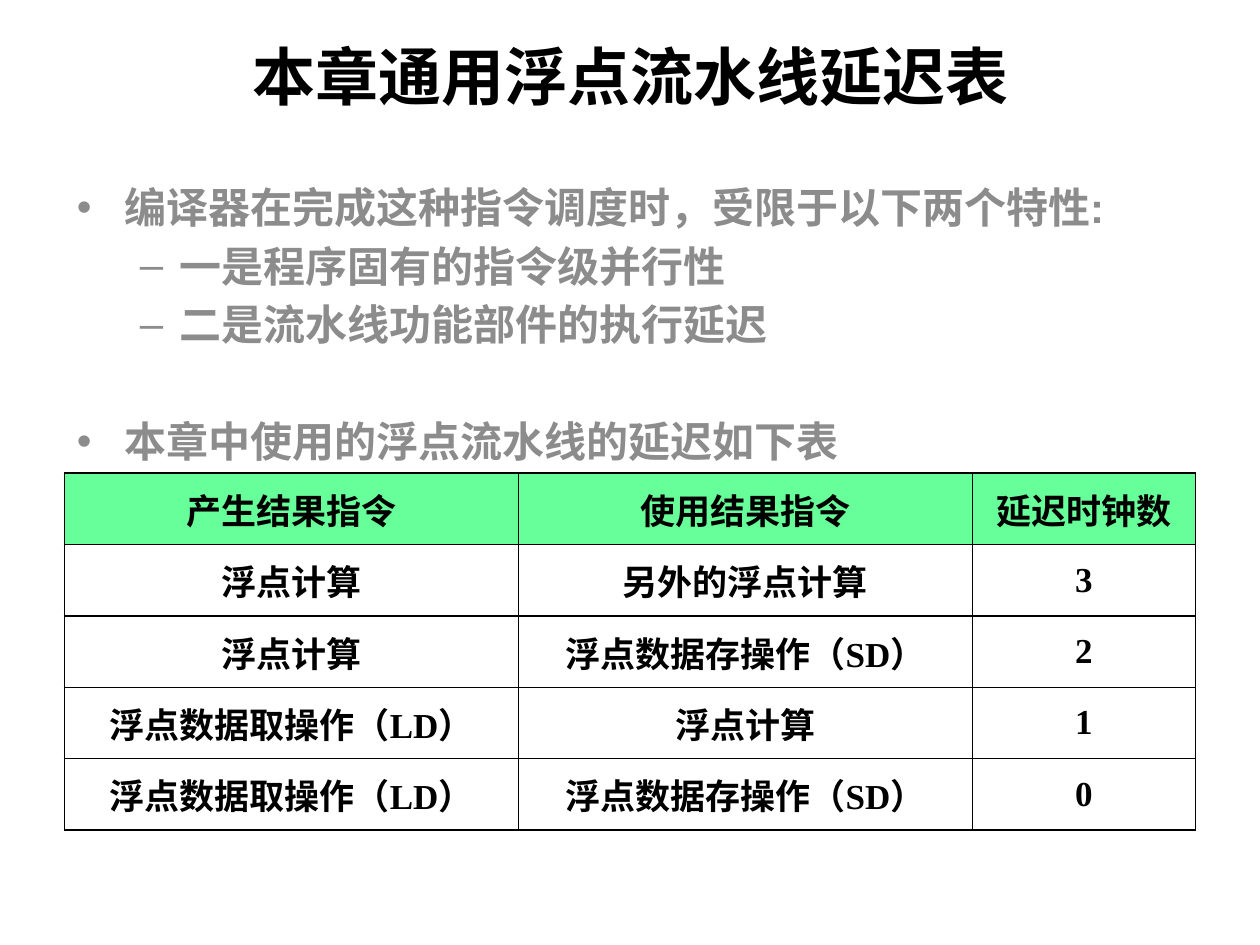
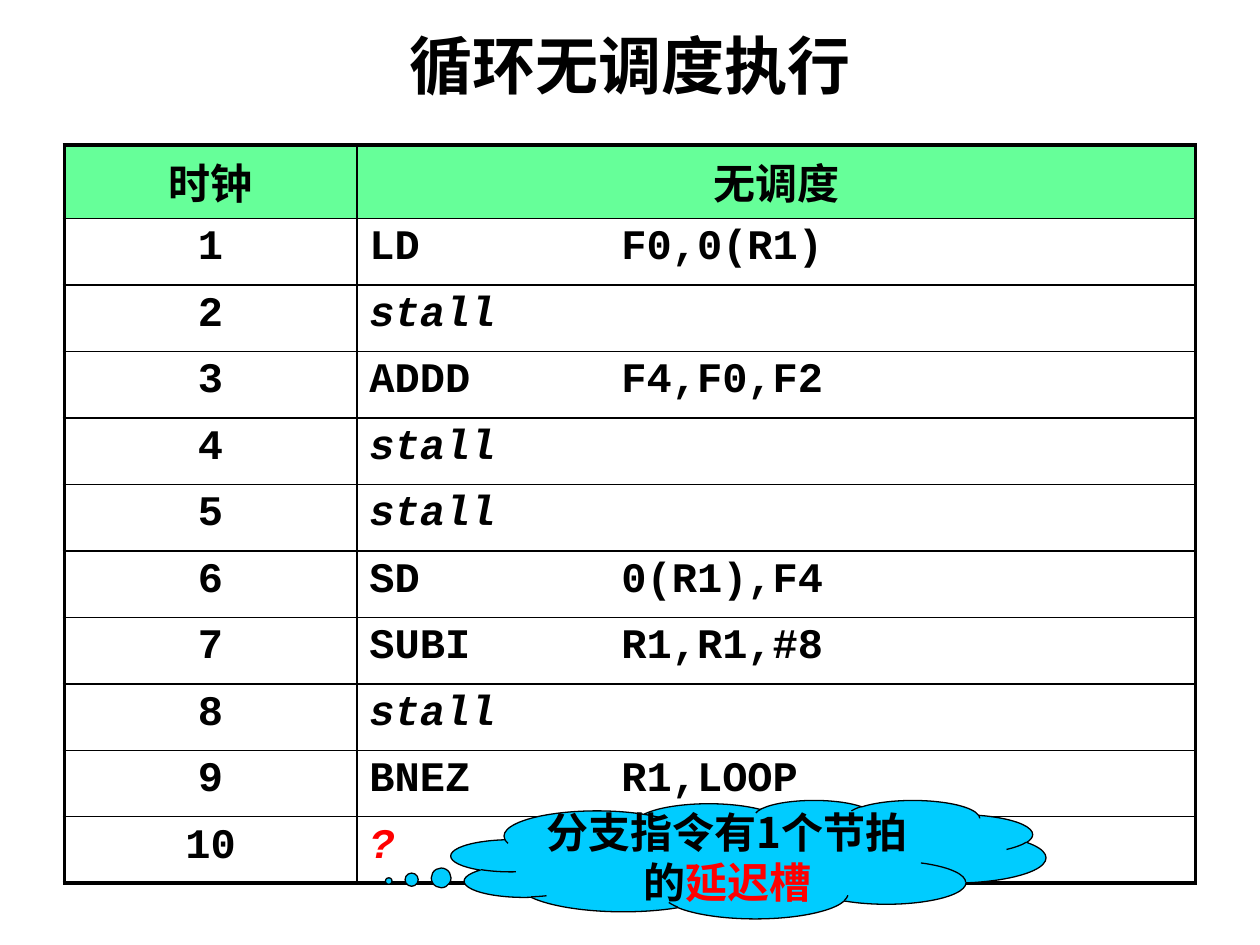
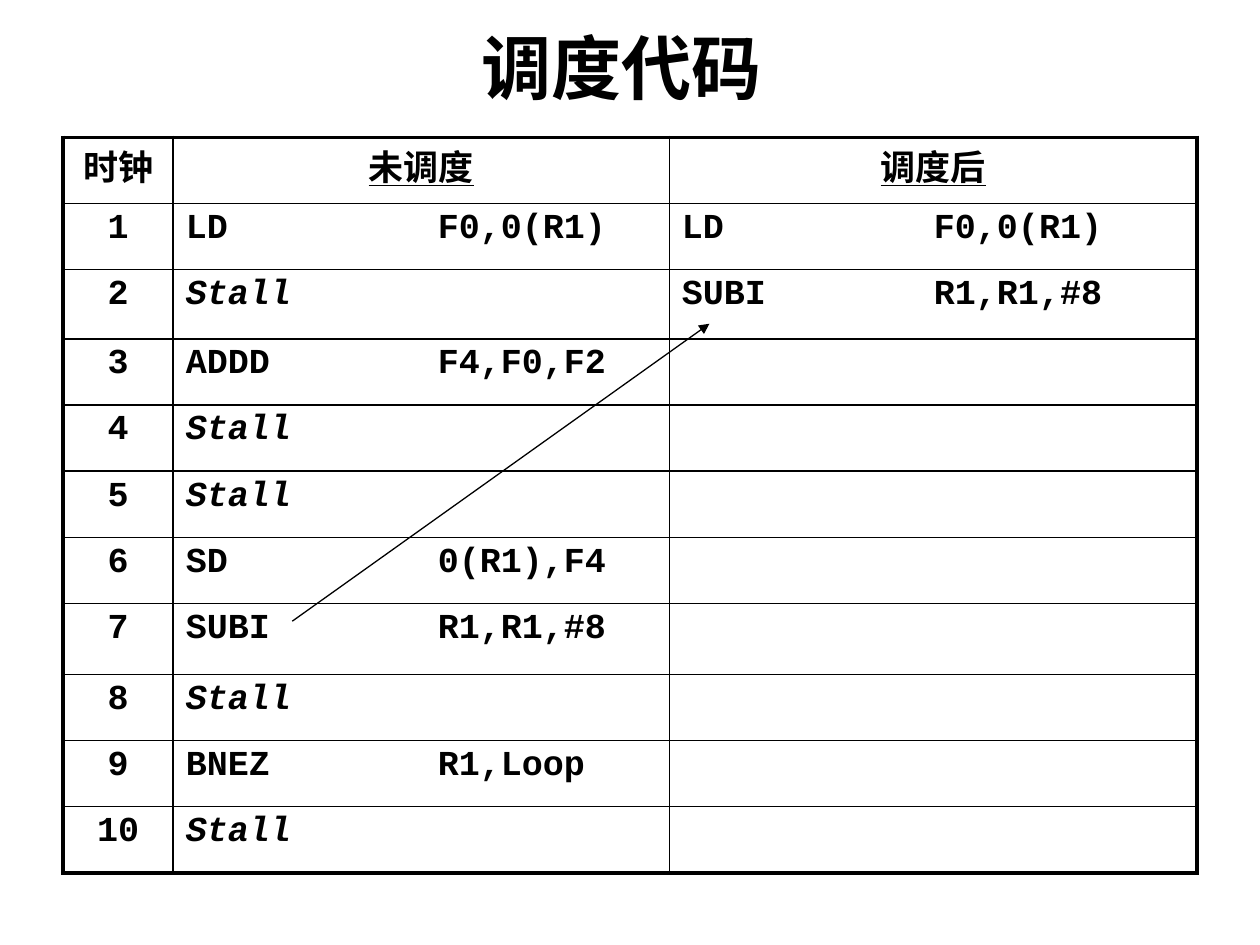
from dataclasses import dataclass
from typing import NamedTuple

from lxml.etree import SubElement
from pptx import Presentation
from pptx.dml.color import RGBColor
from pptx.enum.shapes import MSO_CONNECTOR as Connector, MSO_SHAPE as Preset
from pptx.enum.text import MSO_ANCHOR as Anchor, MSO_AUTO_SIZE as AutoSize, PP_ALIGN as Align
from pptx.oxml.ns import qn
from pptx.util import Pt


@dataclass(frozen=True)
class Theme:
    black: str = "000000"
    grey: str = "8C8C8C"
    red: str = "FF0000"
    green: str = "66FF99"
    sky: str = "00CCFF"
    cjk: str = "Noto Sans CJK SC"
    sans: str = "Arial"
    title_sans: str = "Calibri"
    serif: str = "Times New Roman"
    mono: str = "Courier New"
    title: float = 36
    large_title: float = 40
    text: float = 24
    small: float = 20
    text_line: float = 28.6
    code_tab: float = 72
    thin: float = 0.75
    rule: float = 1
    frame: float = 2.25


THEME = Theme()


class Box(NamedTuple):
    left: float
    top: float
    width: float
    height: float


class Span(NamedTuple):
    text: str
    font: str
    size: float
    color: str = THEME.black
    italic: bool = False
    underline: bool = False


class Bullet(NamedTuple):
    text: str
    level: int
    before: float


class Grid(NamedTuple):
    left: float
    top: float
    columns: list[float]
    rows: list[float]
    frame: float
    header: str | None = None
    anchor: Anchor = Anchor.TOP
    line_spacing: float | None = None


def place(shape, box: Box) -> None:
    shape.left, shape.top, shape.width, shape.height = map(Pt, box)


def add_span(para, span: Span) -> None:
    run = para.add_run()
    run.text = span.text
    font = run.font
    font.name, font.size, font.bold = span.font, Pt(span.size), True
    font.color.rgb = RGBColor.from_string(span.color)
    if span.italic:
        font.italic = True
    if span.underline:
        font.underline = True
    SubElement(run._r.get_or_add_rPr(), qn("a:ea")).set("typeface", THEME.cjk)


def add_page(deck, layout: int, title: str, font: str, size: float, left: float, top: float):
    page = deck.slides.add_slide(deck.slide_layouts[layout])
    heading = page.shapes.title
    place(heading, Box(left, top, 648, 90))
    heading.text_frame.vertical_anchor = Anchor.MIDDLE
    para = heading.text_frame.paragraphs[0]
    para.alignment = Align.CENTER
    add_span(para, Span(title, font, size))
    return page


def set_borders(cell, widths: dict[str, float]) -> None:
    properties = cell._tc.get_or_add_tcPr()
    for side, width in widths.items():
        line = SubElement(properties, qn(f"a:ln{side}"), w=str(Pt(width)))
        fill = SubElement(line, qn("a:solidFill"))
        SubElement(fill, qn("a:srgbClr"), val=THEME.black)


def set_code_tabs(para) -> None:
    stops = SubElement(para._p.get_or_add_pPr(), qn("a:tabLst"))
    for count in (1, 2):
        SubElement(stops, qn("a:tab"), pos=str(Pt(count * THEME.code_tab)), algn="l")


def add_grid(page, grid: Grid, content: list[list[list[Span]]], left_from: int) -> None:
    last_row, last_column = len(grid.rows) - 1, len(grid.columns) - 1
    table = page.shapes.add_table(
        len(grid.rows), len(grid.columns), Pt(grid.left), Pt(grid.top),
        Pt(sum(grid.columns)), Pt(sum(grid.rows))).table
    table.first_row = table.horz_banding = False
    for column, width in zip(table.columns, grid.columns):
        column.width = Pt(width)
    for row, height in zip(table.rows, grid.rows):
        row.height = Pt(height)
    for r, row_spans in enumerate(content):
        for c, spans in enumerate(row_spans):
            cell = table.cell(r, c)
            edges = {"L": c == 0, "R": c == last_column, "T": r == 0, "B": r == last_row}
            set_borders(cell, {side: grid.frame if outer else THEME.rule
                               for side, outer in edges.items()})
            if r == 0 and grid.header:
                cell.fill.solid()
                cell.fill.fore_color.rgb = RGBColor.from_string(grid.header)
            else:
                cell.fill.background()
            cell.vertical_anchor = grid.anchor
            para = cell.text_frame.paragraphs[0]
            is_code = r > 0 and c >= left_from
            para.alignment = Align.LEFT if is_code else Align.CENTER
            if grid.line_spacing:
                para.line_spacing = grid.line_spacing
            if is_code:
                set_code_tabs(para)
            for span in spans:
                add_span(para, span)


def code_spans(code: str, size: float) -> list[Span]:
    if not code:
        return []
    color = THEME.red if code == "?" else THEME.black
    return [Span(code, THEME.mono, size, color, italic="\t" not in code)]


def add_bullets(page, box: Box, bullets: list[Bullet]) -> None:
    body = page.placeholders[1]
    place(body, box)
    frame = body.text_frame
    frame.auto_size = AutoSize.NONE
    indents = [(27, -27), (58.5, -22.5)]
    for index, bullet in enumerate(bullets):
        para = frame.add_paragraph() if index else frame.paragraphs[0]
        para.level = bullet.level
        para.alignment = Align.LEFT
        para.line_spacing = Pt(THEME.text_line)
        para.space_before = Pt(bullet.before)
        margin, indent = indents[bullet.level]
        properties = para._p.get_or_add_pPr()
        properties.set("marL", str(Pt(margin)))
        properties.set("indent", str(Pt(indent)))
        add_span(para, Span(bullet.text, THEME.sans, THEME.text, THEME.grey))


def add_cloud(page, box: Box, spans: list[Span]) -> None:
    cloud = page.shapes.add_shape(Preset.CLOUD_CALLOUT, *map(Pt, box))
    cloud.adjustments[0], cloud.adjustments[1] = -0.605, 0.184
    cloud.shadow.inherit = False
    cloud.fill.solid()
    cloud.fill.fore_color.rgb = RGBColor.from_string(THEME.sky)
    cloud.line.color.rgb = RGBColor.from_string(THEME.black)
    cloud.line.width = Pt(THEME.thin)
    frame = cloud.text_frame
    frame.word_wrap = True
    frame.vertical_anchor = Anchor.MIDDLE
    para = frame.paragraphs[0]
    para.alignment = Align.CENTER
    para.line_spacing = Pt(THEME.text_line)
    for span in spans:
        add_span(para, span)


def add_arrow(page, start: tuple[float, float], end: tuple[float, float]) -> None:
    arrow = page.shapes.add_connector(Connector.STRAIGHT, *map(Pt, start + end))
    arrow.line.color.rgb = RGBColor.from_string(THEME.black)
    arrow.line.width = Pt(THEME.thin)
    SubElement(arrow.line._get_or_add_ln(), qn("a:tailEnd"), type="triangle")
    SubElement(arrow._element.spPr, qn("a:effectLst"))


def build_latency_page(deck) -> None:
    page = add_page(deck, 1, "本章通用浮点流水线延迟表", THEME.sans, THEME.title, 36, -2)
    add_bullets(page, Box(36.7, 100.4, 646.5, 170), [
        Bullet("编译器在完成这种指令调度时，受限于以下两个特性:", 0, 0),
        Bullet("一是程序固有的指令级并行性", 1, 4.8),
        Bullet("二是流水线功能部件的执行延迟", 1, 4.8),
        Bullet("本章中使用的浮点流水线的延迟如下表", 0, 38.2),
    ])

    def cjk(text: str) -> Span:
        return Span(text, THEME.cjk, THEME.small)

    def latin(text: str) -> Span:
        return Span(text, THEME.serif, THEME.small)

    compute = [cjk("浮点计算")]
    load = [cjk("浮点数据取操作（"), latin("LD"), cjk("）")]
    store = [cjk("浮点数据存操作（"), latin("SD"), cjk("）")]
    content = [
        [[cjk(text)] for text in ("产生结果指令", "使用结果指令", "延迟时钟数")],
        [compute, [cjk("另外的浮点计算")], [latin("3")]],
        [compute, store, [latin("2")]],
        [load, compute, [latin("1")]],
        [load, store, [latin("0")]],
    ]
    grid = Grid(36.8, 270.4, [259.4, 259.4, 127.6], [40.8] * 5, THEME.rule,
                THEME.green, Anchor.MIDDLE)
    add_grid(page, grid, content, left_from=3)


def build_unscheduled_page(deck) -> None:
    page = add_page(deck, 5, "循环无调度执行", THEME.title_sans, THEME.title, 36, -8)
    codes = ["LD\t\tF0,0(R1)", "stall", "ADDD\t\tF4,F0,F2", "stall", "stall",
             "SD\t\t0(R1),F4", "SUBI\t\tR1,R1,#8", "stall", "BNEZ\t\tR1,LOOP", "?"]
    content = [[[Span(text, THEME.mono, THEME.text)] for text in ("时钟", "无调度")]]
    for clock, code in enumerate(codes, 1):
        content.append([[Span(str(clock), THEME.mono, THEME.text)],
                        code_spans(code, THEME.text)])
    grid = Grid(36.7, 82.8, [167.2, 479.2], [38] * 11, THEME.frame, THEME.green)
    add_grid(page, grid, content, left_from=1)
    add_cloud(page, Box(257.8, 457.2, 339.8, 67.7), [
        Span("分支指令有1个节拍的", THEME.cjk, THEME.text),
        Span("延迟槽", THEME.cjk, THEME.text, THEME.red),
    ])


def build_scheduled_page(deck) -> None:
    page = add_page(deck, 5, "调度代码", THEME.sans, THEME.large_title, 31, -7.2)
    before = ["LD\t\tF0,0(R1)", "Stall", "ADDD\t\tF4,F0,F2", "Stall", "Stall",
              "SD\t\t0(R1),F4", "SUBI\t\tR1,R1,#8", "Stall", "BNEZ\t\tR1,Loop", "Stall"]
    after = ["LD\t\tF0,0(R1)", "SUBI\t\tR1,R1,#8"] + [""] * 8
    content = [[[Span("时钟", THEME.mono, THEME.small)]]
               + [[Span(text, THEME.mono, THEME.small, underline=True)]
                  for text in ("未调度", "调度后")]]
    for clock, codes in enumerate(zip(before, after), 1):
        content.append([[Span(str(clock), THEME.mono, THEME.small)]]
                       + [code_spans(code, THEME.small) for code in codes])
    heights = [37.8] * 11
    heights[2], heights[7] = 39.6, 40.6
    grid = Grid(36, 78.5, [63, 283.5, 301.5], heights, THEME.frame, line_spacing=0.9)
    add_grid(page, grid, content, left_from=1)
    add_arrow(page, (167, 355), (405.4, 185))


def main() -> None:
    deck = Presentation()
    deck.slide_width, deck.slide_height = Pt(720), Pt(540)
    build_latency_page(deck)
    build_unscheduled_page(deck)
    build_scheduled_page(deck)
    deck.save("out.pptx")


if __name__ == "__main__":
    main()
